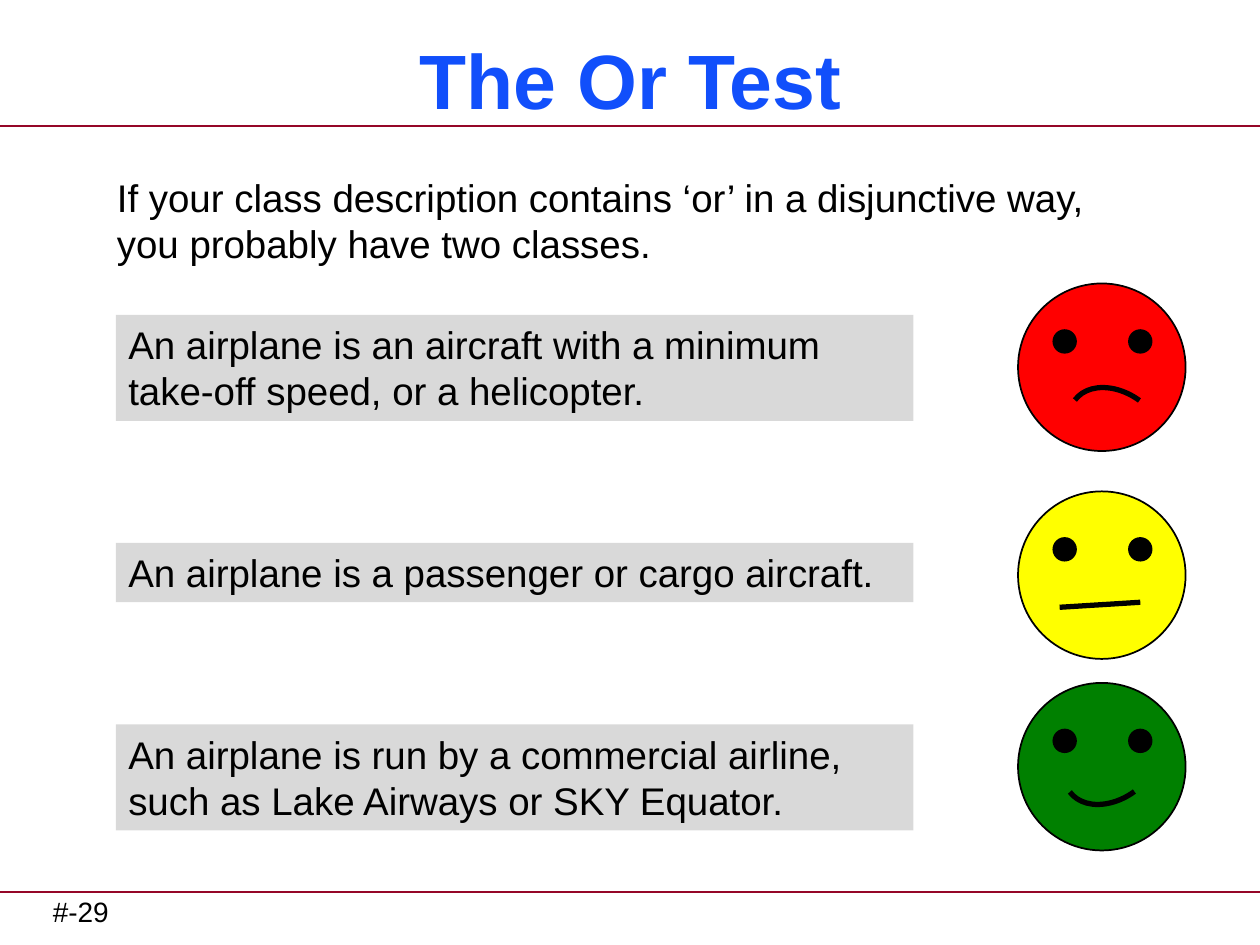
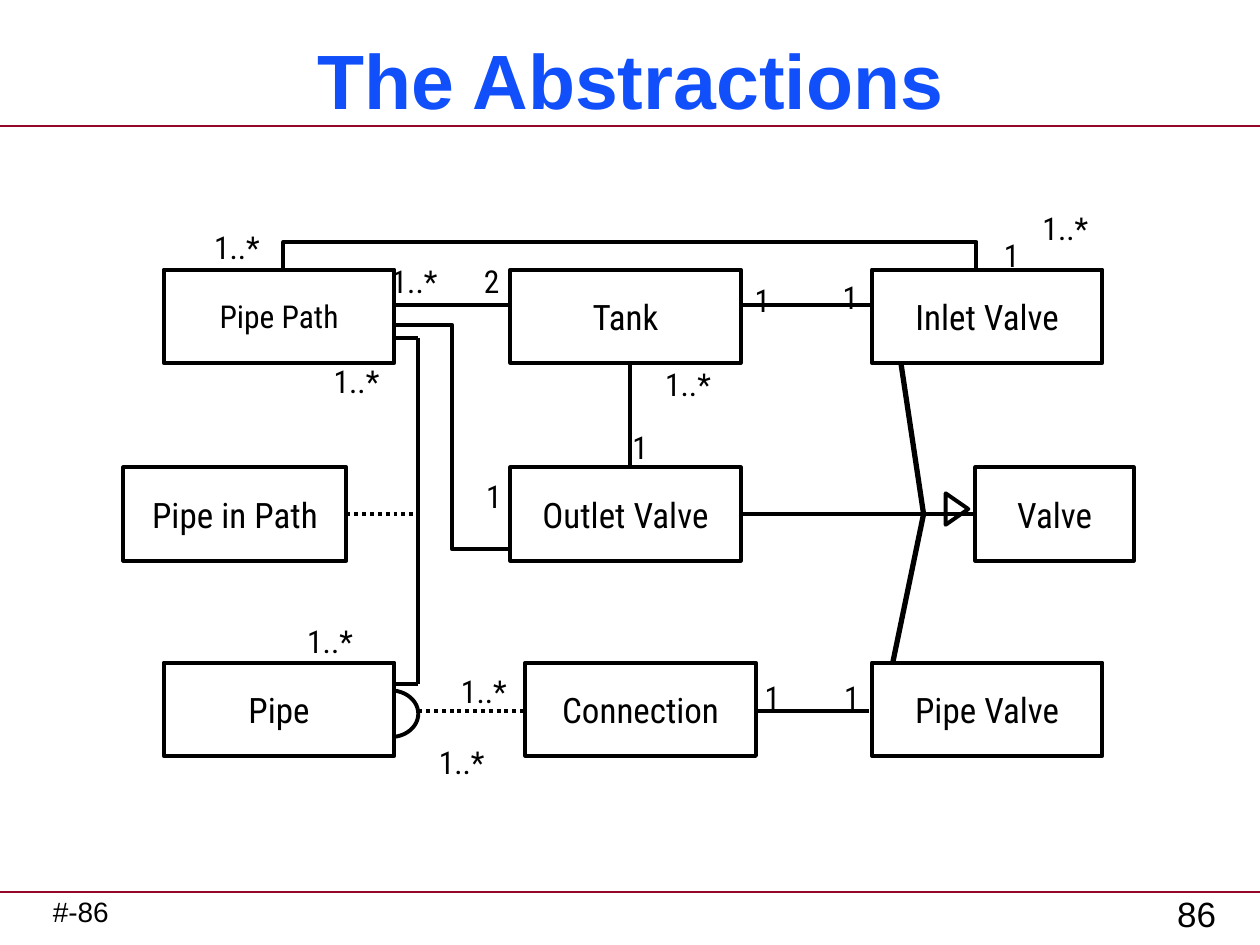
from lxml import etree
from pptx import Presentation
from pptx.dml.color import RGBColor
from pptx.enum.dml import MSO_LINE
from pptx.enum.shapes import MSO_CONNECTOR as CONNECTOR, MSO_SHAPE as SHAPE
from pptx.enum.text import MSO_ANCHOR as ANCHOR, MSO_AUTO_SIZE as AUTO_SIZE, PP_ALIGN as ALIGN
from pptx.oxml.ns import qn
from pptx.util import Inches, Pt

BLACK = RGBColor(0x00, 0x00, 0x00)
WHITE = RGBColor(0xFF, 0xFF, 0xFF)
TITLE_BLUE = RGBColor(0x11, 0x4F, 0xFB)
RULE_RED = RGBColor(0x95, 0x07, 0x28)
FACE_RED = RGBColor(0xFF, 0x00, 0x00)
FACE_YELLOW = RGBColor(0xFF, 0xFF, 0x00)
FACE_GREEN = RGBColor(0x00, 0x80, 0x00)

MAIN_FONT = "Arial"
DIAGRAM_FONT = "Roboto Condensed"
TEXT_INSETS = (0.1, 0.05)
DIAGRAM_INSETS = (0.17, 0.08)
DIAGRAM_LINE = 2.25


def write(shape, text, size, font=MAIN_FONT, color=BLACK, bold=False,
          align=ALIGN.LEFT, anchor=ANCHOR.TOP, insets=TEXT_INSETS):
    """Write one paragraph; a newline in the text becomes a line break."""
    frame = shape.text_frame
    frame.word_wrap = True
    frame.auto_size = AUTO_SIZE.NONE
    frame.vertical_anchor = anchor
    frame.margin_left = frame.margin_right = Inches(insets[0])
    frame.margin_top = frame.margin_bottom = Inches(insets[1])
    paragraph = frame.paragraphs[0]
    paragraph.alignment = align
    for number, line in enumerate(text.split("\n")):
        if number:
            paragraph.add_line_break()
        run = paragraph.add_run()
        run.text = line
        run.font.name = font
        run.font.size = Pt(size)
        run.font.bold = bold
        run.font.color.rgb = color


def add_text(slide, box, text, size, **style):
    shape = slide.shapes.add_textbox(*map(Inches, box))
    write(shape, text, size, **style)


def style_shape(shape, fill=None, line_width=None):
    """Flat shape with an optional fill and an optional black outline."""
    shape.shadow.inherit = False
    if fill is None:
        shape.fill.background()
    else:
        shape.fill.solid()
        shape.fill.fore_color.rgb = fill
    if line_width is None:
        shape.line.fill.background()
    else:
        shape.line.color.rgb = BLACK
        shape.line.width = Pt(line_width)


def add_figure(shapes, kind, box, fill=None, line_width=None, rotation=0):
    shape = shapes.add_shape(kind, *map(Inches, box))
    shape.rotation = rotation
    style_shape(shape, fill, line_width)
    return shape


def add_line(shapes, start, end, width=DIAGRAM_LINE, color=BLACK,
             kind=CONNECTOR.STRAIGHT, dotted=False):
    line = shapes.add_connector(kind, *map(Inches, (*start, *end)))
    line.line.color.rgb = color
    line.line.width = Pt(width)
    if dotted:
        line.line.dash_style = MSO_LINE.ROUND_DOT
    etree.SubElement(line.element.spPr, qn("a:effectLst"))


def add_base_slide(presentation, title, number):
    """Title, red rules and footer shared by all slides."""
    slide = presentation.slides.add_slide(presentation.slide_layouts[5])
    for y in (1, 7.08):
        add_line(slide.shapes, (0, y), (10, y), 1.5, RULE_RED)
    heading = slide.shapes.title
    heading.left, heading.top = Inches(0.17), Inches(0.25)
    heading.width, heading.height = Inches(9.67), Inches(0.75)
    write(heading, title, 44, color=TITLE_BLUE, bold=True,
          align=ALIGN.CENTER, anchor=ANCHOR.MIDDLE)
    add_text(slide, (0.42, 7.05, 4.83, 0.37), f"#-{number}", 16, insets=(0, 0.05))
    return slide


# The Or Test
def add_example(slide, top, height, text):
    box = add_figure(slide.shapes, SHAPE.RECTANGLE, (0.92, top, 6.33, height), BLACK)
    color = box.fill._xPr.find(qn("a:solidFill"))[0]
    etree.SubElement(color, qn("a:alpha"), val="15000")
    write(box, text, 22)


def add_face(slide, top, color):
    """Draw the head and eyes; return the group's shapes for the mouth."""
    shapes = slide.shapes.add_group_shape().shapes
    add_figure(shapes, SHAPE.OVAL, (8.08, top, 1.33, 1.33), color, 1)
    for left in (8.36, 8.96):
        add_figure(shapes, SHAPE.OVAL, (left, top + 0.37, 0.18, 0.18), BLACK, 1)
    return shapes


def add_or_test(presentation):
    slide = add_base_slide(presentation, "The Or Test", 29)
    add_text(slide, (0.83, 1.33, 8.83, 0.9),
             "If your class description contains ‘or’ in a disjunctive way, \n"
             "you probably have two classes.", 22)
    add_example(slide, 2.5, 0.84,
                "An airplane is an aircraft with a minimum take-off speed, or a helicopter.")
    add_example(slide, 4.31, 0.47, "An airplane is a passenger or cargo aircraft.")
    add_example(slide, 5.75, 0.84,
                "An airplane is run by a commercial airline, "
                "such as Lake Airways or SKY Equator.")

    happy = add_face(slide, 5.42, FACE_GREEN)
    add_figure(happy, SHAPE.ARC, (8.41, 5.74, 0.83, 0.6), line_width=3, rotation=143.7)
    sad = add_face(slide, 2.25, FACE_RED)
    frown = add_figure(sad, SHAPE.ARC, (8.45, 3.12, 0.83, 0.6), line_width=3, rotation=216.3)
    frown.element.spPr.xfrm.set("flipV", "1")
    neutral = add_face(slide, 3.9, FACE_YELLOW)
    add_line(neutral, (8.41, 4.82), (9.05, 4.78), 3)


# The Abstractions
def add_class(slide, left, top, name, width=1.83, size=20):
    box = add_figure(slide.shapes, SHAPE.RECTANGLE, (left, top, width, 0.74),
                     WHITE, DIAGRAM_LINE)
    write(box, name, size, font=DIAGRAM_FONT, align=ALIGN.CENTER,
          anchor=ANCHOR.MIDDLE, insets=DIAGRAM_INSETS)


def add_multiplicity(slide, left, top, width, text):
    add_text(slide, (left, top, width, 0.46), text, 18, font=DIAGRAM_FONT,
             align=ALIGN.CENTER, anchor=ANCHOR.MIDDLE, insets=DIAGRAM_INSETS)


def add_abstractions(presentation):
    slide = add_base_slide(presentation, "The Abstractions", 86)
    shapes = slide.shapes
    add_text(slide, (8.83, 7, 0.92, 0.5), "86", 20, align=ALIGN.RIGHT, anchor=ANCHOR.MIDDLE)

    # Loop from Pipe Path over Tank to Inlet Valve
    builder = shapes.build_freeform(Inches(2.25), Inches(2.42), scale=1.0)
    corners = ((2.25, 1.92), (7.75, 1.92), (7.75, 2.42))
    builder.add_line_segments([(Inches(x), Inches(y)) for x, y in corners], close=True)
    style_shape(builder.convert_to_shape(), WHITE, DIAGRAM_LINE)
    add_figure(shapes, SHAPE.OVAL, (2.88, 5.48, 0.44, 0.37), line_width=DIAGRAM_LINE)

    # Associations
    associations = (
        ((5.83, 4.08), (7.86, 4.08)),
        ((5.89, 5.64), (6.9, 5.64)),
        ((3.13, 2.68), (3.32, 2.68)),
        ((3.13, 5.43), (3.32, 5.43)),
        ((3.32, 2.68), (3.32, 5.43)),
        ((5.83, 2.42), (6.95, 2.42)),
        ((5, 2.84), (5, 3.75)),
        ((3.08, 2.42), (4.08, 2.42)),
    )
    for start, end in associations:
        add_line(shapes, start, end)
    add_line(shapes, (2.75, 4.08), (3.32, 4.08), dotted=True)
    add_line(shapes, (3.32, 5.64), (4.17, 5.64), dotted=True)
    add_line(shapes, (3.1, 2.58), (4.08, 4.36), kind=CONNECTOR.ELBOW)

    # Inheritance branches meeting in front of Valve
    for branch in ((7.15, 2.88), (7.05, 5.43)):
        add_line(shapes, branch, (7.33, 4.08), 3)

    # Multiplicities: left, top, width
    for left, top in ((4.91, 3.32), (5.96, 5.3), (6.59, 5.3), (3.75, 3.71),
                      (7.86, 1.79), (6.58, 2.13), (5.88, 2.15)):
        add_multiplicity(slide, left, top, 0.34, "1")
    add_multiplicity(slide, 3.67, 2, 0.36, "2")
    for left, top, width in ((1.42, 1.73, 0.92), (7.83, 1.58, 1.25), (2.75, 2, 1.08),
                             (2.33, 2.79, 1), (1.92, 4.86, 1.4), (3, 5.25, 1.68),
                             (3.25, 5.82, 0.83), (5, 2.82, 0.92)):
        add_multiplicity(slide, left, top, width, "1..*")

    # Classes, row by row
    top_row, middle_row, bottom_row = 2.14, 3.71, 5.26
    add_class(slide, 1.3, top_row, "Pipe Path", size=18)
    add_class(slide, 4.05, top_row, "Tank")
    add_class(slide, 6.92, top_row, "Inlet Valve")
    add_class(slide, 0.98, middle_row, "Pipe in Path", width=1.77)
    add_class(slide, 4.05, middle_row, "Outlet Valve")
    add_class(slide, 7.74, middle_row, "Valve", width=1.26)
    add_class(slide, 1.3, bottom_row, "Pipe")
    add_class(slide, 4.17, bottom_row, "Connection")
    add_class(slide, 6.92, bottom_row, "Pipe Valve")
    add_figure(shapes, SHAPE.ISOSCELES_TRIANGLE, (7.47, 3.95, 0.25, 0.18),
               line_width=DIAGRAM_LINE, rotation=90)


def main():
    presentation = Presentation()
    presentation.slide_width, presentation.slide_height = Inches(10), Inches(7.5)
    add_or_test(presentation)
    add_abstractions(presentation)
    presentation.save("out.pptx")


if __name__ == "__main__":
    main()
